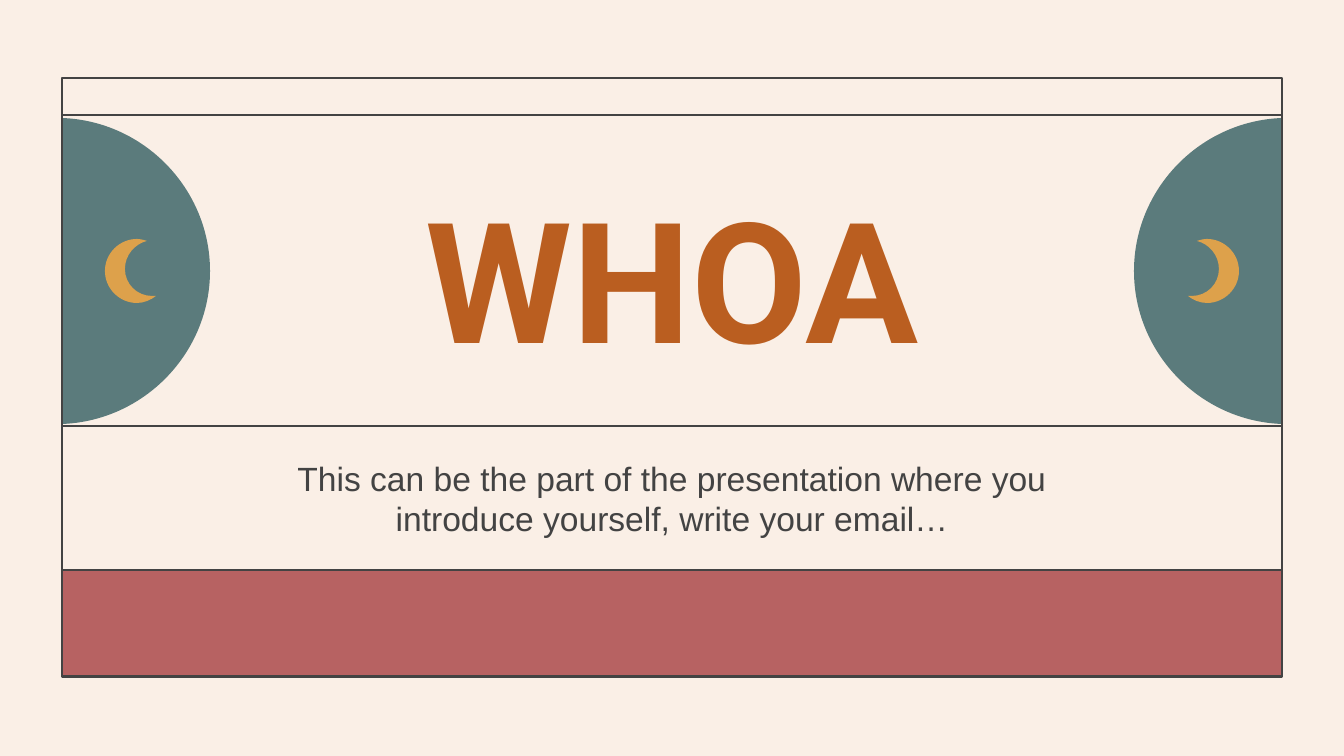
from pptx import Presentation
from pptx.dml.color import RGBColor
from pptx.enum.shapes import MSO_CONNECTOR, MSO_SHAPE
from pptx.enum.text import MSO_ANCHOR, MSO_AUTO_SIZE, PP_ALIGN
from pptx.oxml.ns import qn
from pptx.util import Emu, Pt

EMU_PER_PX = 914400 / 134.4
CREAM, INK, ROSE = "FAEFE6", "434343", "B76262"
TEAL, GOLD, RUST = "5B7B7C", "DDA14B", "BA5E20"

# Bezier outlines, measured from the frame edge and the disc's middle:
# a start point, then two control points and an end point for each curve
HALF_DISC = [(0, -153), (82, -150), (148, -82), (148, 0),
             (148, 82), (82, 150), (0, 153)]
CRESCENT = [(94, 25), (89, 29), (82, 32), (75, 32),
            (58, 32), (43, 18), (43, 0),
            (43, -18), (58, -32), (75, -32),
            (78, -32), (82, -31), (85, -30),
            (73, -27), (63, -16), (63, -2),
            (63, 13), (75, 25), (90, 25),
            (91, 25), (93, 25), (94, 25)]


def px(length):
    return Emu(round(length * EMU_PER_PX))


def color(hex_string):
    return RGBColor.from_string(hex_string)


def paint(shape, hex_string):
    shape.shadow.inherit = False
    shape.fill.solid()
    shape.fill.fore_color.rgb = color(hex_string)
    shape.line.fill.background()


def outline(line):
    line.color.rgb = color(INK)
    line.width = Pt(1.5)


def add_rule(page, left, top, width):
    rule = page.shapes.add_connector(
        MSO_CONNECTOR.STRAIGHT, px(left + width), px(top), px(left), px(top))
    outline(rule.line)
    properties = rule.line._ln.getparent()
    properties.append(properties.makeelement(qn("a:effectLst"), {}))


def add_curved_shape(page, points, hex_string):
    points = [(px(x), px(y)) for x, y in points]
    builder = page.shapes.build_freeform(*points[0], scale=1.0)
    builder.add_line_segments(points[1:], close=True)
    shape = builder.convert_to_shape()
    paint(shape, hex_string)

    # Join every three straight segments into one Bezier curve
    segments = list(shape._element.iter(qn("a:lnTo")))
    for start in range(0, len(segments), 3):
        first = segments[start]
        curve = first.makeelement(qn("a:cubicBezTo"), {})
        first.addprevious(curve)
        for segment in segments[start:start + 3]:
            curve.append(segment[0])
            segment.getparent().remove(segment)


def add_moon_disc(page, edge, middle, direction):
    """Half disc growing inwards from a frame edge, with a crescent on it."""
    for points, hex_string in ((HALF_DISC, TEAL), (CRESCENT, GOLD)):
        placed = [(edge + direction * x, middle + y) for x, y in points]
        add_curved_shape(page, placed, hex_string)


def add_frame(page, left, top, width, height):
    # Coloured band at the foot
    band_top = 492
    band = page.shapes.add_shape(
        MSO_SHAPE.RECTANGLE, px(left), px(top + band_top), px(width), px(height - band_top))
    paint(band, ROSE)

    # Mirrored moons on both sides
    for edge, direction in ((left + width, -1), (left, 1)):
        add_moon_disc(page, edge, top + 193, direction)

    # Border and dividing rules
    border = page.shapes.add_shape(
        MSO_SHAPE.RECTANGLE, px(left), px(top), px(width), px(height))
    border.shadow.inherit = False
    border.fill.background()
    outline(border.line)
    for rule_top in (band_top, 348, 37):
        add_rule(page, left, top + rule_top, width)


def fill_placeholder(holder, box, text, font_name, size, hex_string, bold=False):
    holder.left, holder.top, holder.width, holder.height = map(px, box)
    holder.fill.solid()
    holder.fill.fore_color.rgb = color(CREAM)
    frame = holder.text_frame
    frame.text = text
    frame.word_wrap = True
    frame.auto_size = MSO_AUTO_SIZE.NONE
    frame.vertical_anchor = MSO_ANCHOR.MIDDLE
    frame.margin_left = frame.margin_right = px(13)
    frame.margin_top = frame.margin_bottom = px(13)
    para = frame.paragraphs[0]
    para.alignment = PP_ALIGN.CENTER
    para.space_before = Pt(0)
    font = para.runs[0].font
    font.name, font.size, font.bold = font_name, Pt(size), bold
    font.color.rgb = color(hex_string)


def main():
    deck = Presentation()
    deck.slide_width, deck.slide_height = px(1344), px(756)
    page = deck.slides.add_slide(deck.slide_layouts[0])
    page.background.fill.solid()
    page.background.fill.fore_color.rgb = color(CREAM)

    add_frame(page, 62, 78, 1220, 599)
    fill_placeholder(page.shapes.title, (228, 170, 888, 212),
                     "WHOA", "Roboto", 90, RUST, bold=True)
    fill_placeholder(page.placeholders[1], (228, 429, 888, 138),
                     "This can be the part of the presentation where you "
                     "introduce yourself, write your email…", "Arial", 18, INK)
    deck.save("out.pptx")


if __name__ == "__main__":
    main()
